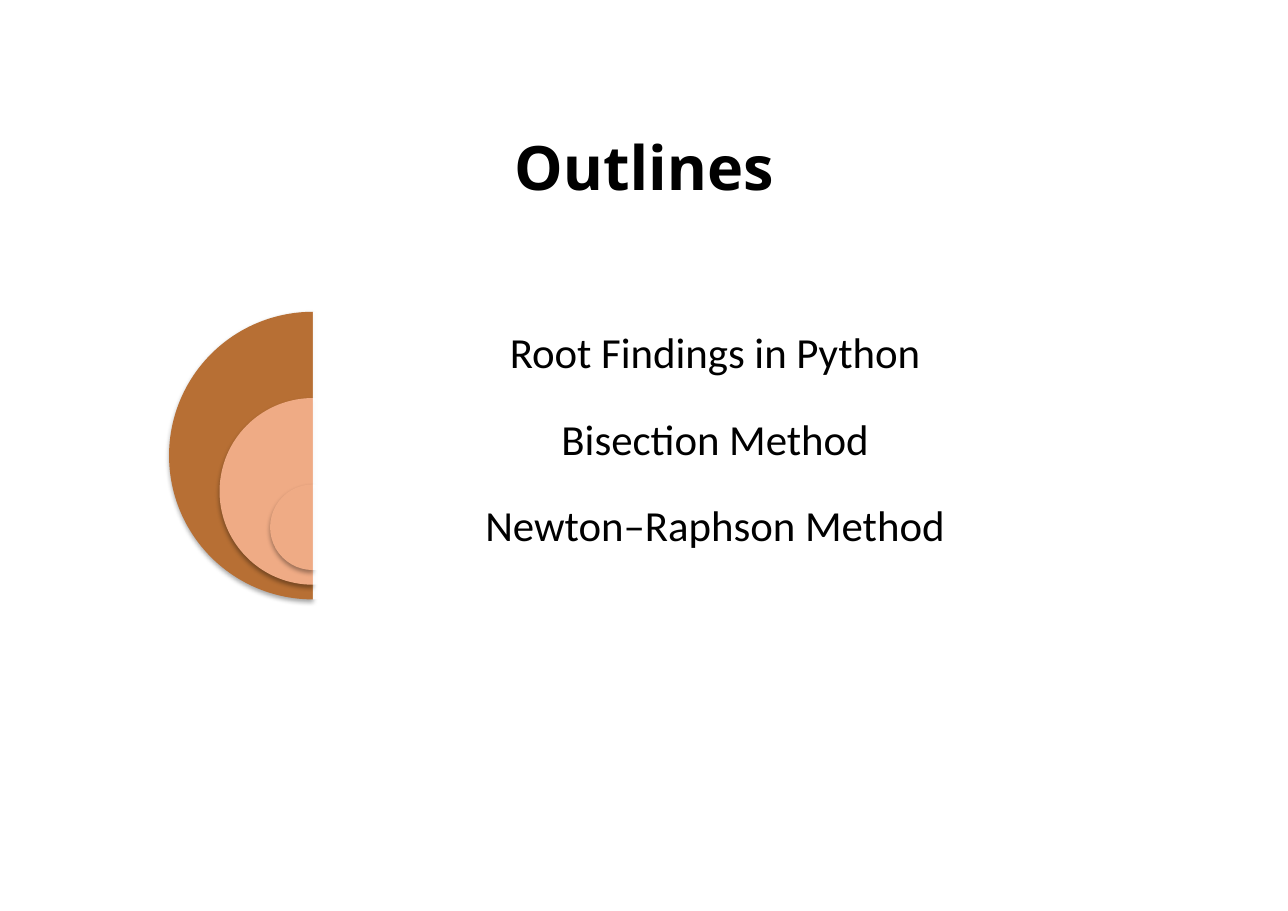
from dataclasses import dataclass

from lxml.etree import SubElement
from pptx import Presentation
from pptx.dml.color import RGBColor
from pptx.enum.shapes import MSO_SHAPE
from pptx.enum.text import MSO_ANCHOR, PP_ALIGN
from pptx.oxml.ns import qn
from pptx.shapes.autoshape import Shape
from pptx.shapes.shapetree import GroupShapes
from pptx.util import Pt

MID = 204.5   # flat side of the half discs, left edge of the panels
TOP = 203.8
ROW = 56.4
WIDE = 525.6
SHRINK = 66   # each disc is this much smaller than the one before


@dataclass
class Topic:
    label: str
    color: str


TOPICS = [
    Topic("Root Findings in Python", "B76F34"),
    Topic("Bisection Method", "EFAB85"),
    Topic("Newton–Raphson Method", "EFAB85"),
]


def paint(shape: Shape, color: str) -> None:
    shape.fill.solid()
    shape.fill.fore_color.rgb = RGBColor.from_string(color)
    shape.line.fill.background()
    shape.shadow.inherit = False


def write(shape: Shape, text: str, *, font: str, size: float, bold: bool = False,
          pad: tuple[float, float] = (8.5, 8.5), space: float = 1.0) -> None:
    frame = shape.text_frame
    frame.word_wrap = True
    frame.vertical_anchor = MSO_ANCHOR.MIDDLE
    frame.margin_left = frame.margin_right = Pt(pad[0])
    frame.margin_top = frame.margin_bottom = Pt(pad[1])
    para = frame.paragraphs[0]
    para.alignment = PP_ALIGN.CENTER
    para.line_spacing = space
    run = para.add_run()
    run.text = text
    run.font.name = font
    run.font.size = Pt(size)
    run.font.bold = bold
    run.font.color.rgb = RGBColor.from_string("000000")


def add_disc(shapes: GroupShapes, top: float, size: float, color: str) -> None:
    disc = shapes.add_shape(MSO_SHAPE.PIE, Pt(MID - size / 2), Pt(top), Pt(size), Pt(size))
    disc.adjustments[0] = 54    # 90 degrees
    disc.adjustments[1] = 162   # 270 degrees
    paint(disc, color)
    # Soft shadow straight below
    effects = disc._element.spPr.find(qn("a:effectLst"))
    shade = SubElement(effects, qn("a:outerShdw"), blurRad=str(Pt(3.1)),
                       dist=str(Pt(1.8)), dir="5400000", rotWithShape="0")
    black = SubElement(shade, qn("a:srgbClr"), val="000000")
    SubElement(black, qn("a:alpha"), val="35000")


def add_panel(shapes: GroupShapes, top: float, high: float) -> None:
    panel = shapes.add_shape(MSO_SHAPE.RECTANGLE, Pt(MID), Pt(top), Pt(WIDE), Pt(high))
    paint(panel, "FFFFFF")
    white = panel._element.spPr.find(qn("a:solidFill"))[0]
    SubElement(white, qn("a:alpha"), val="90000")


def add_topic(shapes: GroupShapes, topic: Topic, top: float, size: float) -> None:
    add_disc(shapes, top, size, topic.color)
    add_panel(shapes, top, size)
    box = shapes.add_textbox(Pt(MID), Pt(top), Pt(WIDE), Pt(ROW))
    write(box, topic.label, font="Calibri", size=28, space=0.9)


def main() -> None:
    deck = Presentation()
    deck.slide_width, deck.slide_height = Pt(841.68), Pt(595.44)
    slide = deck.slides.add_slide(deck.slide_layouts[5])

    # Title
    title = slide.shapes.title
    title.left, title.top = Pt(102.2), Pt(59)
    title.width, title.height = Pt(637.2), Pt(99.4)
    write(title, "Outlines", font="Open Sans", size=40, bold=True, pad=(7.9, 4.3))

    # Stacked half discs with their topics
    stack = slide.shapes.add_group_shape().shapes
    for i, topic in enumerate(TOPICS):
        add_topic(stack, topic, TOP + i * ROW, 188 - i * SHRINK)

    deck.save("out.pptx")


if __name__ == "__main__":
    main()
